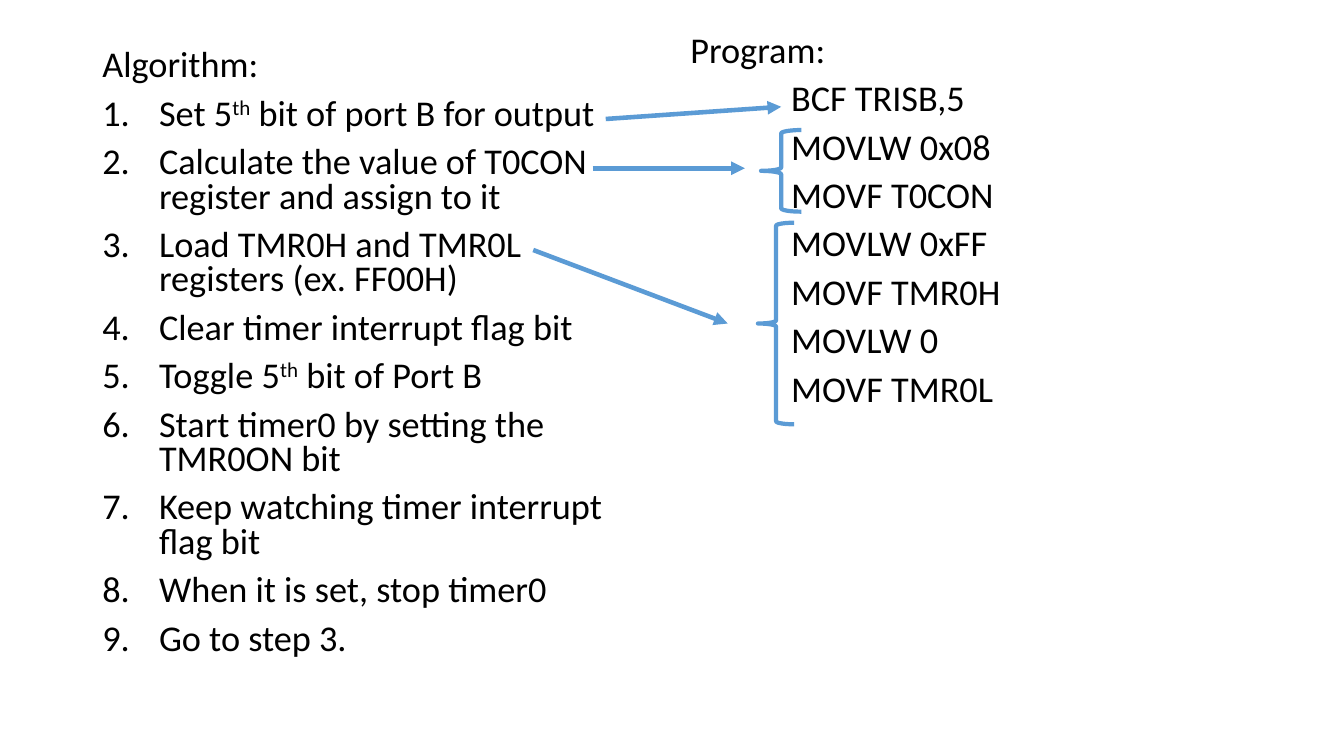
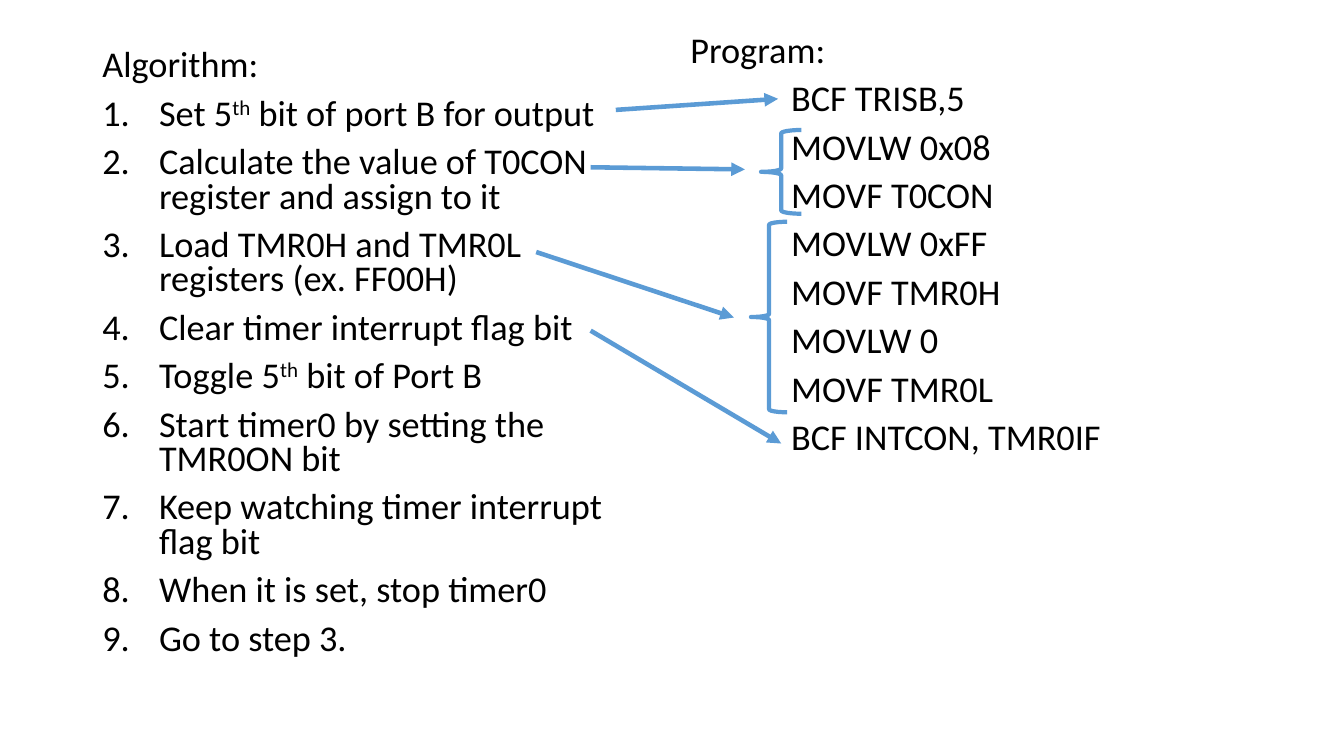
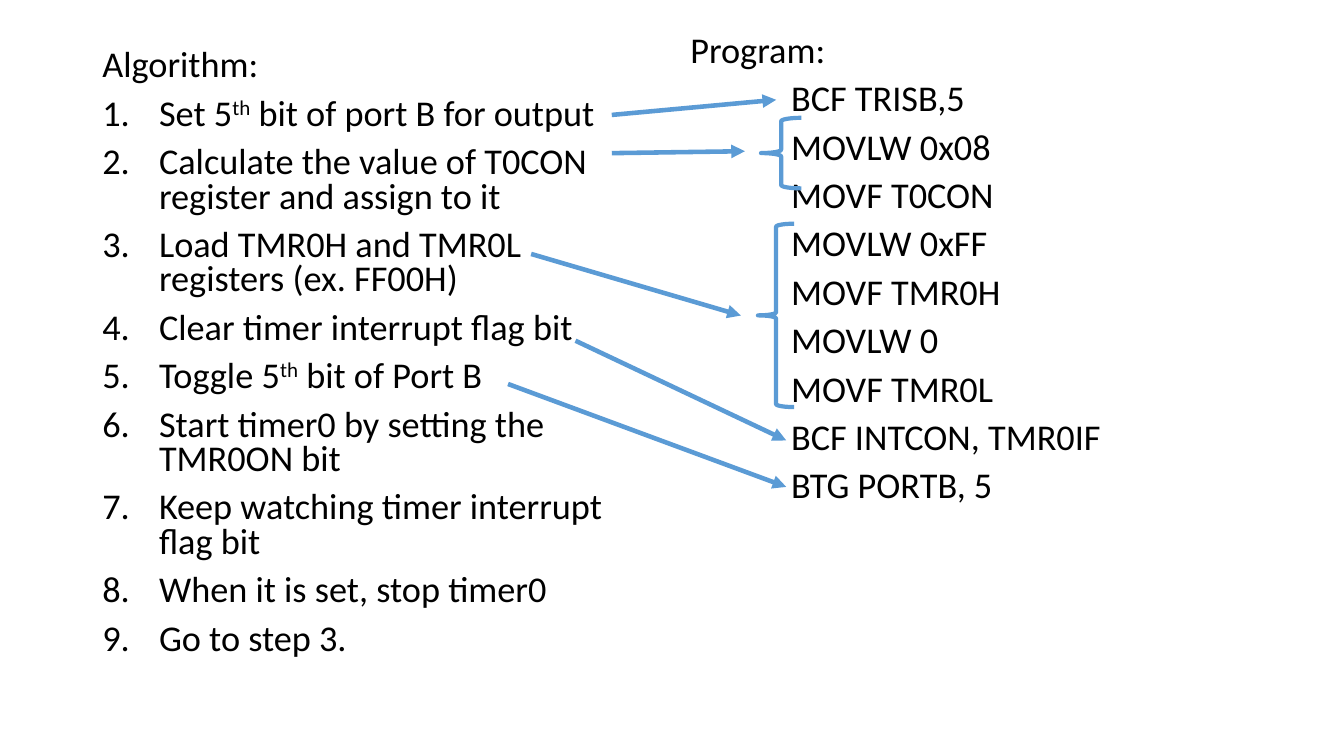
"""Build three slides that map a timer algorithm step by step to its assembly program."""
from lxml.etree import SubElement
from pptx import Presentation
from pptx.dml.color import RGBColor
from pptx.enum.shapes import MSO_CONNECTOR as Connector, MSO_SHAPE as Shape
from pptx.oxml.ns import qn
from pptx.util import Pt

COLORS = {"text": "000000", "mapping": "5B9BD5"}
FONT = "Calibri"
NUMBER_INDENT = 40.5
CODE_INDENT = 72

STEPS = [
    "Set 5^th^ bit of port B for output",
    "Calculate the value of T0CON register and assign to it",
    "Load TMR0H and TMR0L registers (ex. FF00H)",
    "Clear timer interrupt flag bit",
    "Toggle 5^th^ bit of Port B",
    "Start timer0 by setting the TMR0ON bit",
    "Keep watching timer interrupt flag bit",
    "When it is set, stop timer0",
    "Go to step 3.",
]
INSTRUCTIONS = [
    "BCF TRISB,5",
    "MOVLW 0x08",
    "MOVF T0CON",
    "MOVLW 0xFF",
    "MOVF TMR0H",
    "MOVLW 0",
    "MOVF TMR0L",
    "BCF INTCON, TMR0IF",
    "BTG PORTB, 5",
]
STAGES = [
    {
        "instructions": 7,
        "arrows": [
            (432.7, 85, 558, 76.3),
            (423.4, 120.2, 532.1, 120.2),
            (380.9, 178.6, 519.8, 231.1),
        ],
        "braces": [(541.4, 159.1, 25.9, 144), (543.6, 92.9, 28.8, 58.3)],
    },
    {
        "instructions": 8,
        "arrows": [
            (439.9, 78.5, 555.8, 70.6),
            (421.9, 119.5, 532.1, 121),
            (383, 180, 524.2, 226.8),
            (421.9, 236.2, 558, 316.8),
        ],
        "braces": [(536.4, 158.4, 25.9, 136.1), (543.6, 92.9, 28.8, 59.8)],
    },
    {
        "instructions": 9,
        "arrows": [
            (437, 82.1, 554.4, 71.3),
            (437, 109.4, 532.1, 108),
            (379.4, 181.4, 529.2, 225.4),
            (411.1, 243.4, 561.6, 314.6),
            (362.9, 274.3, 561.6, 347.8),
        ],
        "braces": [(541.4, 159.8, 25.9, 131), (543.6, 84.2, 28.8, 50.4)],
    },
]


def add_column(slide, bounds, heading, entries, indent, numbered):
    frame = slide.shapes.add_textbox(*map(Pt, bounds)).text_frame
    frame.word_wrap = True
    for position, entry in enumerate([heading, *entries]):
        paragraph = frame.add_paragraph() if position else frame.paragraphs[0]
        paragraph.line_spacing = 0.79
        paragraph.space_before = Pt(10)
        if position:
            properties = paragraph._p.get_or_add_pPr()
            properties.set("marL", str(Pt(indent)))
            if numbered:
                properties.set("indent", str(-Pt(indent)))
                SubElement(properties, qn("a:buFont"), typeface="+mj-lt")
                SubElement(properties, qn("a:buAutoNum"), type="arabicPeriod")
        for part, words in enumerate(entry.split("^")):
            run = paragraph.add_run()
            run.text = words
            run.font.name = FONT
            run.font.size = Pt(25.9)
            run.font.color.rgb = RGBColor.from_string(COLORS["text"])
            if part % 2:
                run.font._element.set("baseline", "30000")


def style_line(line, width):
    line.color.rgb = RGBColor.from_string(COLORS["mapping"])
    line.width = Pt(width)


deck = Presentation()
deck.slide_width, deck.slide_height = Pt(960), Pt(540)

for stage in STAGES:
    slide = deck.slides.add_slide(deck.slide_layouts[6])
    add_column(slide, (66, 32.4, 408, 453.6), "Algorithm:", STEPS, NUMBER_INDENT, True)
    shown = INSTRUCTIONS[:stage["instructions"]]
    add_column(slide, (486, 22, 408, 464.4), "Program:", shown, CODE_INDENT, False)

    for ends in stage["arrows"]:
        arrow = slide.shapes.add_connector(Connector.STRAIGHT, *map(Pt, ends))
        style_line(arrow.line, 3.25)
        SubElement(arrow.line._get_or_add_ln(), qn("a:tailEnd"), type="triangle")
        SubElement(arrow._element.spPr, qn("a:effectLst"))

    for bounds in stage["braces"]:
        brace = slide.shapes.add_shape(Shape.LEFT_BRACE, *map(Pt, bounds))
        brace.shadow.inherit = False
        brace.fill.background()
        style_line(brace.line, 3)

deck.save("out.pptx")
